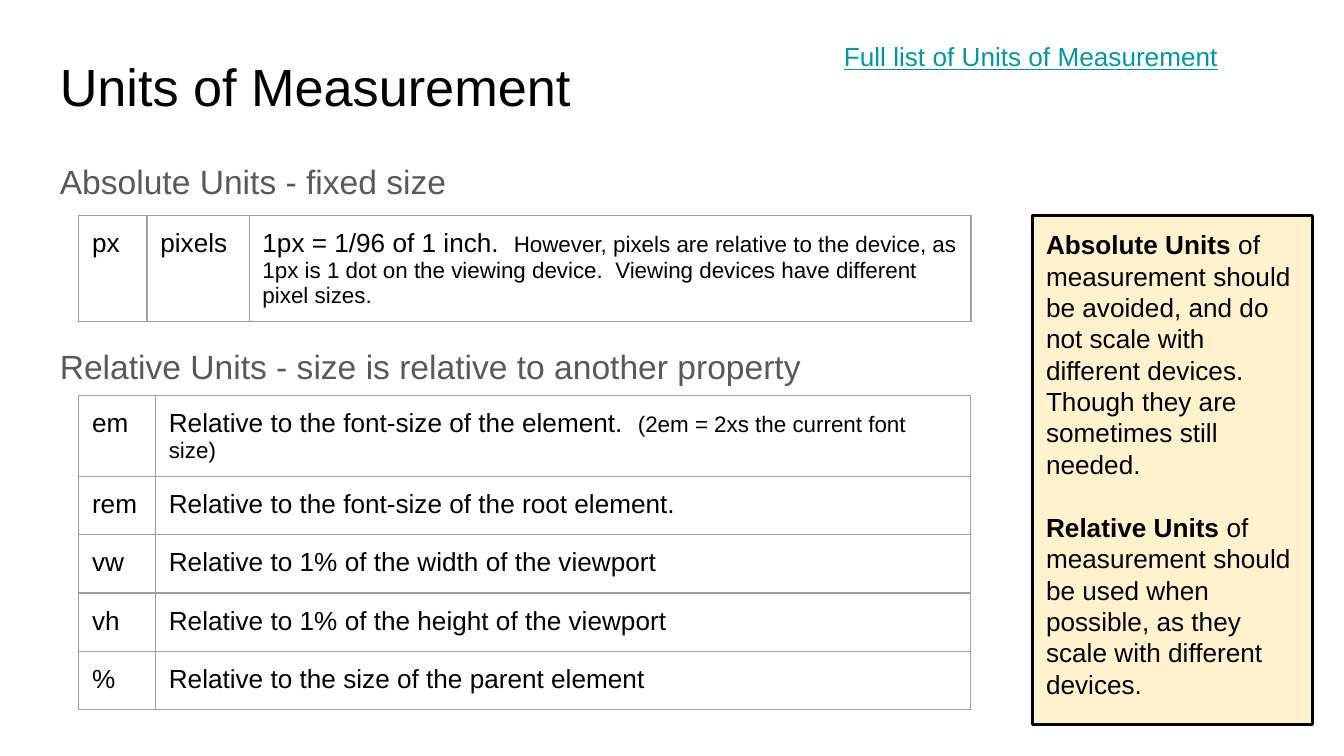
from typing import NamedTuple

from lxml.etree import SubElement
from pptx import Presentation
from pptx.dml.color import RGBColor
from pptx.enum.shapes import MSO_SHAPE
from pptx.enum.text import MSO_ANCHOR, MSO_AUTO_SIZE, PP_ALIGN
from pptx.oxml.ns import qn
from pptx.util import Cm, Pt

BLACK = RGBColor(0x00, 0x00, 0x00)
GREY = RGBColor(0x59, 0x59, 0x59)
RULE = RGBColor(0x9E, 0x9E, 0x9E)
TEAL = RGBColor(0x00, 0x97, 0xA7)
CREAM = RGBColor(0xFF, 0xF2, 0xCC)
FONT = "Arial"
PAD = Cm(0.25)
SIDE = Cm(8.33)  # nominal table frame; columns and rows set the drawn size


class Box(NamedTuple):
    left: float
    top: float
    width: float
    height: float

    def lengths(self) -> list:
        return [Cm(side) for side in self]


class Run(NamedTuple):
    text: str
    size: float | None = None
    bold: bool | None = None


class Grid(NamedTuple):
    left: float
    top: float
    cols: list[float]
    rows: list[float]
    cells: list[list[list[Run]]]


class Head(NamedTuple):
    idx: int
    box: Box
    text: str
    size: float
    color: RGBColor
    space: float


HEADS = [
    Head(0, Box(0.88, 0.77, 11.48, 1.6), "Units of Measurement", 28, BLACK, 1),
    Head(1, Box(0.88, 2.67, 20.52, 0.97), "Absolute Units - fixed size", 18, GREY, 1.15),
    Head(3, Box(0.88, 6.17, 18.29, 0.97),
         "Relative Units - size is relative to another property", 18, GREY, 1.15),
]

FIXED = Grid(1.49, 4.08, [1.29, 1.93, 13.64], [1.07], [[
    [Run("px")],
    [Run("pixels")],
    [Run("1px = 1/96 of 1 inch.  "),
     Run("However, pixels are relative to the device, as 1px is 1 dot on the viewing "
         "device.  Viewing devices have different pixel sizes.", 12)],
]])

SCALED = Grid(1.49, 7.48, [1.45, 15.4], [1.07] + [1.1] * 4, [
    [[Run("em")], [Run("Relative to the font-size of the element.  "),
                   Run("(2em = 2xs the current font size)", 12)]],
    [[Run("rem")], [Run("Relative to the font-size of the root element.")]],
    [[Run("vw")], [Run("Relative to 1% of the width of the viewport")]],
    [[Run("vh")], [Run("Relative to 1% of the height of the viewport")]],
    [[Run("%")], [Run("Relative to the size of the parent element")]],
])

ADVICE = [
    [Run("Absolute Units", bold=True),
     Run(" of measurement should be avoided, and do not scale with different devices. "
         "Though they are sometimes still needed.")],
    [Run("Relative Units", bold=True),
     Run(" of measurement should be used when possible, as they scale with different "
         "devices.")],
]


def write(para, runs: list[Run], size: float = 14, color: RGBColor = BLACK) -> None:
    para.alignment = PP_ALIGN.LEFT
    font = para.font
    font.name, font.size, font.bold = FONT, Pt(size), False
    font.color.rgb = color
    for part in runs:
        run = para.add_run()
        run.text = part.text
        if part.size:
            run.font.size = Pt(part.size)
        if part.bold:
            run.font.bold = True


def frame(shape):
    """Return the shape's text frame, padded, wrapped and set from the top."""
    text = shape.text_frame
    text.word_wrap = True
    text.auto_size = MSO_AUTO_SIZE.NONE
    text.vertical_anchor = MSO_ANCHOR.TOP
    text.margin_left = text.margin_right = PAD
    text.margin_top = text.margin_bottom = PAD
    return text


def add_head(slide, head: Head) -> None:
    shape = slide.placeholders[head.idx]
    shape.left, shape.top, shape.width, shape.height = head.box.lengths()
    para = frame(shape).paragraphs[0]
    para.space_before = Pt(0)
    para.line_spacing = head.space
    write(para, [Run(head.text)], head.size, head.color)


def add_rules(cell) -> None:
    """Draw a thin line on all four sides of the cell."""
    props = cell._tc.get_or_add_tcPr()
    for side in ("lnL", "lnR", "lnT", "lnB"):
        line = SubElement(props, qn(f"a:{side}"), w=str(Pt(0.75)))
        fill = SubElement(line, qn("a:solidFill"))
        SubElement(fill, qn("a:srgbClr"), val=str(RULE))


def add_grid(slide, grid: Grid) -> None:
    holder = slide.shapes.add_table(
        len(grid.rows), len(grid.cols), Cm(grid.left), Cm(grid.top), SIDE, SIDE)
    table = holder.table
    table.first_row = table.horz_banding = False
    for col, width in zip(table.columns, grid.cols):
        col.width = Cm(width)
    for row, height, items in zip(table.rows, grid.rows, grid.cells):
        row.height = Cm(height)
        for cell, runs in zip(row.cells, items):
            cell.margin_left = cell.margin_right = PAD
            cell.margin_top = cell.margin_bottom = PAD
            add_rules(cell)
            cell.fill.background()
            write(cell.text_frame.paragraphs[0], runs)
    holder.width = holder.height = SIDE


def add_link(slide) -> None:
    box = Box(15.7, 0.51, 8.53, 1.09)
    para = frame(slide.shapes.add_textbox(*box.lengths())).paragraphs[0]
    write(para, [Run("Full list of Units of Measurement")], color=TEAL)
    para.font.underline = True


def add_advice(slide) -> None:
    box = Box(19.52, 4.07, 5.29, 9.62)
    shape = slide.shapes.add_shape(MSO_SHAPE.RECTANGLE, *box.lengths())
    shape.shadow.inherit = False
    shape.fill.solid()
    shape.fill.fore_color.rgb = CREAM
    shape.line.color.rgb = BLACK
    shape.line.width = Pt(1.5)
    text = frame(shape)
    first, second = text.paragraphs[0], text.add_paragraph()
    second.space_before = Pt(17)
    for para, runs in zip((first, second), ADVICE):
        write(para, runs)


def main() -> None:
    deck = Presentation()
    deck.slide_width, deck.slide_height = Cm(25.4), Cm(14.29)
    slide = deck.slides.add_slide(deck.slide_layouts.get_by_name("Comparison"))
    for head in HEADS:
        add_head(slide, head)
    used = {head.idx for head in HEADS}
    for spare in list(slide.placeholders):
        if spare.placeholder_format.idx not in used:
            spare.element.getparent().remove(spare.element)
    for grid in (FIXED, SCALED):
        add_grid(slide, grid)
    add_link(slide)
    add_advice(slide)
    deck.save("out.pptx")


if __name__ == "__main__":
    main()
